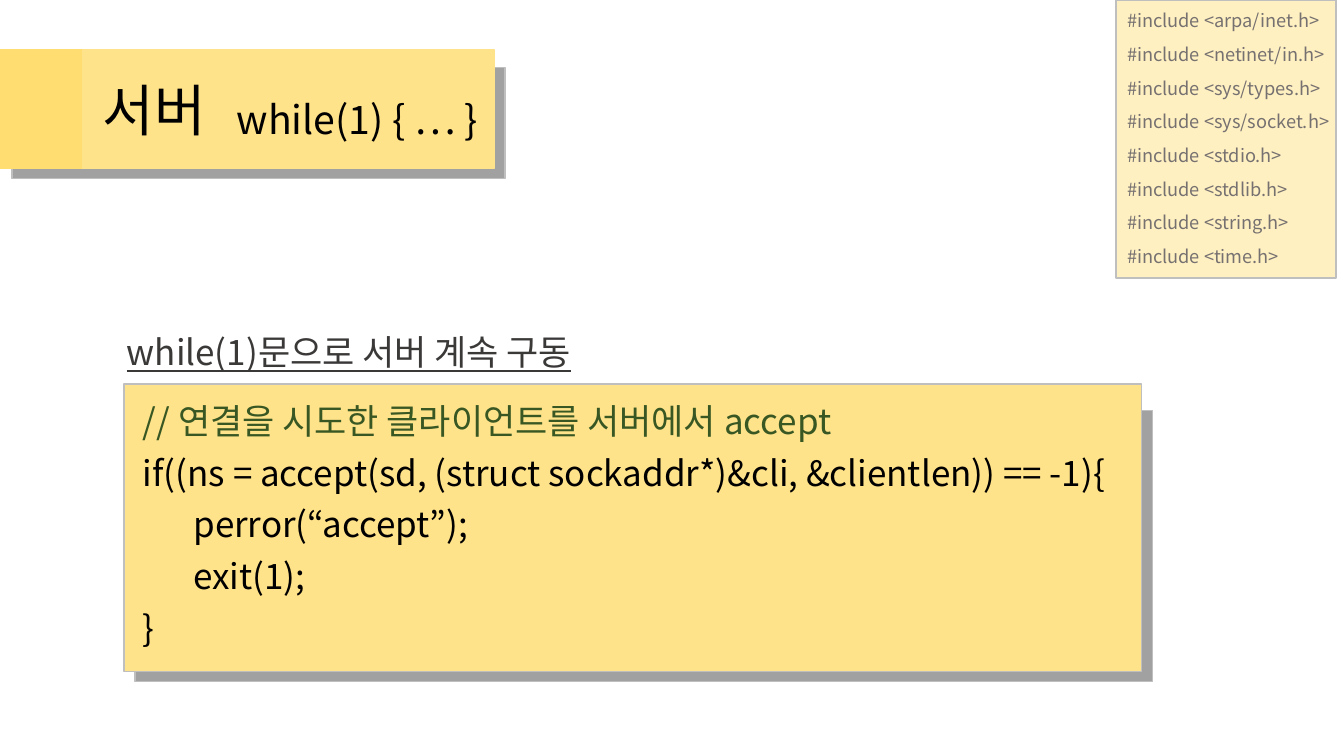
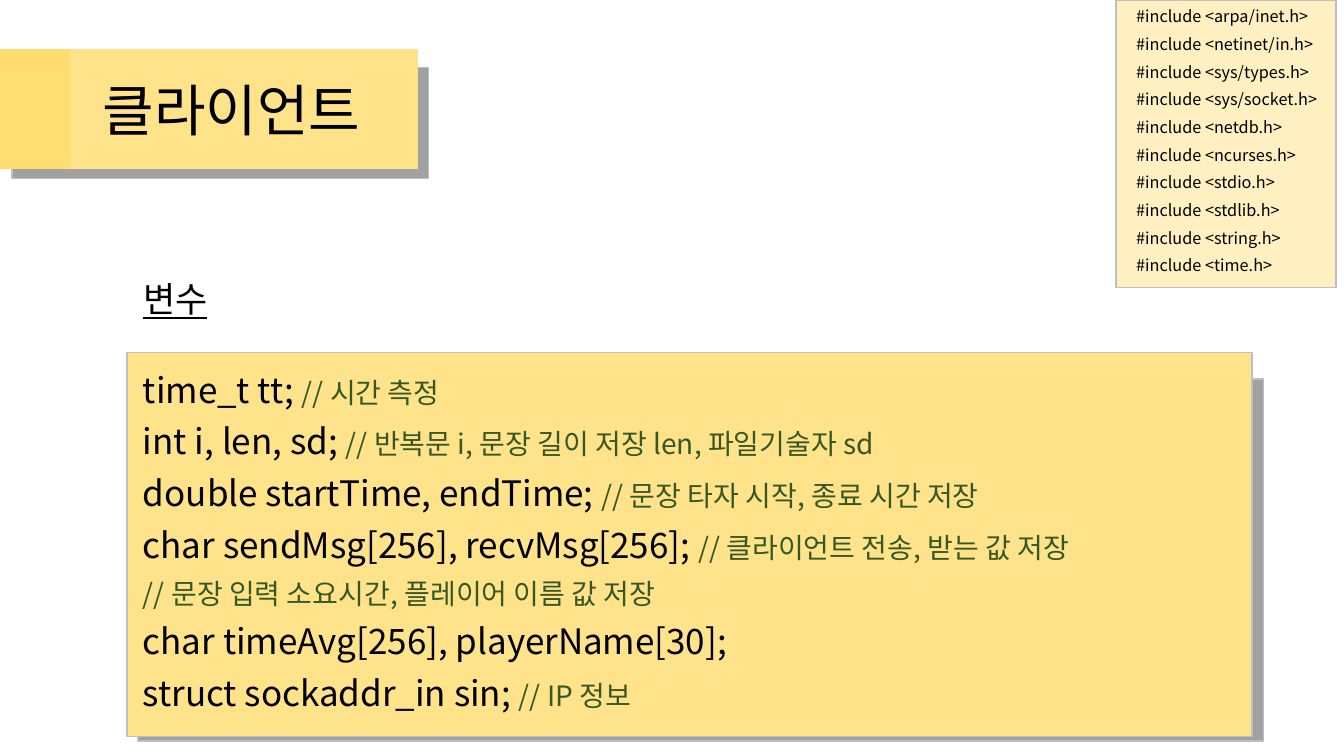
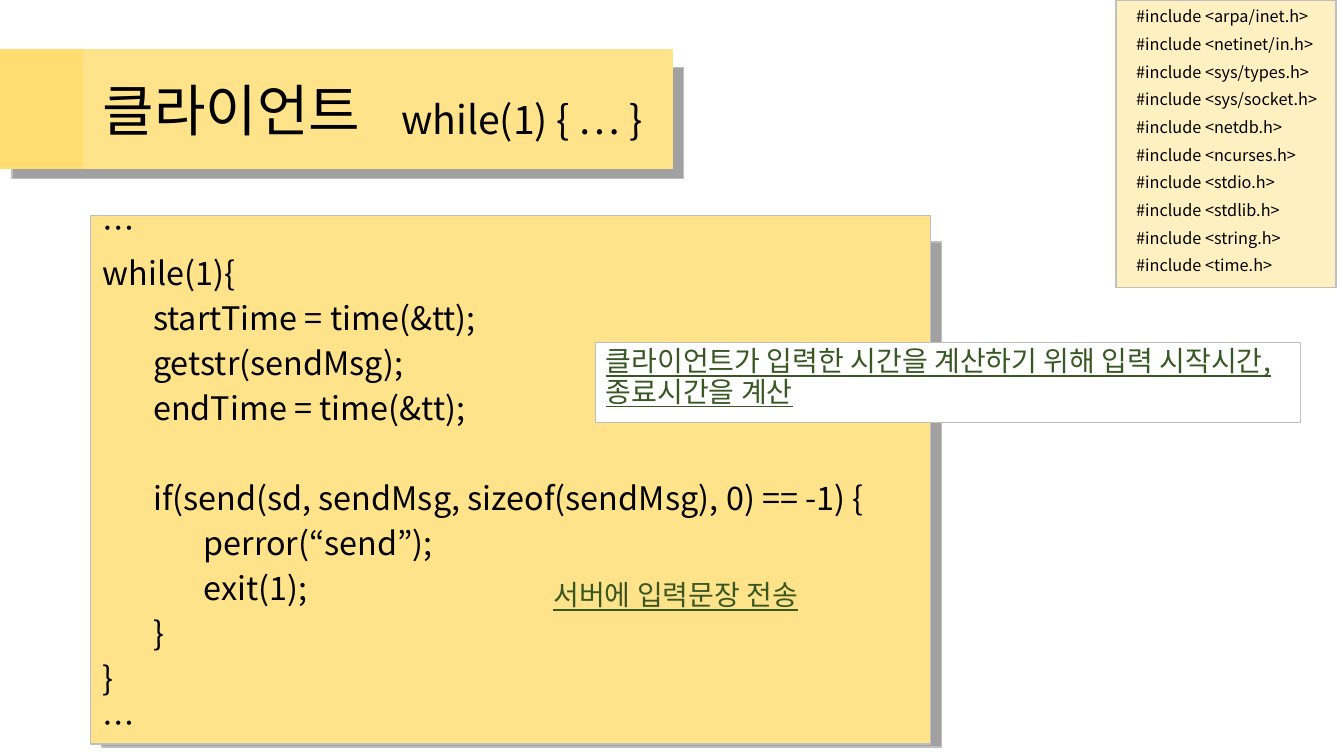
"""Build three slides on a socket server and its client."""
from pptx import Presentation
from pptx.dml.color import RGBColor
from pptx.enum.shapes import MSO_SHAPE
from pptx.enum.text import MSO_ANCHOR, MSO_AUTO_SIZE, PP_ALIGN
from pptx.oxml.ns import qn
from pptx.util import Inches, Pt
from lxml.etree import SubElement

FACE = "Noto Sans CJK KR"
BLACK = RGBColor(0x00, 0x00, 0x00)
WHITE = RGBColor(0xFF, 0xFF, 0xFF)
DARK = RGBColor(0x3B, 0x38, 0x38)
GRAY = RGBColor(0x76, 0x71, 0x71)
SHADE = RGBColor(0xA1, 0xA1, 0xA1)
EDGE = RGBColor(0xBF, 0xBF, 0xBF)
GREEN = RGBColor(0x38, 0x57, 0x23)
YELLOW = RGBColor(0xFF, 0xE3, 0x8B)
GOLD = RGBColor(0xFF, 0xDD, 0x71)
CREAM = RGBColor(0xFF, 0xF0, 0xC1)

CELL = Inches(0.1)
GAP = 10
PITCH = 1.2

HEAD = {"size": 40, "color": BLACK}
SUB = {"size": 28, "color": BLACK}
CODE = {"size": 25, "color": BLACK}
TIGHT = {"size": 23.1, "color": BLACK}
REMARK = {"size": 25, "color": GREEN}
NOTE = {"size": 20, "color": GREEN}
LINK = {"size": 20, "color": GREEN, "underline": True}
TOPIC = {"size": 25, "color": BLACK, "underline": True}
LEAD = {"size": 25, "color": DARK, "underline": True}
PALE = {"size": 13, "color": GRAY}
SMALL = {"size": 11.6, "color": BLACK}

NET = ["arpa/inet", "netinet/in", "sys/types", "sys/socket"]
TERM = ["netdb", "ncurses"]
BASE = ["stdio", "stdlib", "string", "time"]
LOOP = "while(1) { … }"

ACCEPT = [
    "// 연결을 시도한 클라이언트를 서버에서 accept",
    "if((ns = accept(sd, (struct sockaddr*)&cli, &clientlen)) == -1){",
    "\tperror(“accept”);",
    "\texit(1);",
    "}",
]
VARS = [
    "time_t tt; // 시간 측정",
    "int i, len, sd; // 반복문 i, 문장 길이 저장 len, 파일기술자 sd",
    "double startTime, endTime; // 문장 타자 시작, 종료 시간 저장",
    "char sendMsg[256], recvMsg[256]; // 클라이언트 전송, 받는 값 저장",
    "// 문장 입력 소요시간, 플레이어 이름 값 저장",
    "char timeAvg[256], playerName[30];",
    "struct sockaddr_in sin; // IP 정보",
]
SEND = [
    "…",
    "while(1){",
    "\tstartTime = time(&tt);",
    "\tgetstr(sendMsg);",
    "\tendTime = time(&tt);",
    "",
    "\tif(send(sd, sendMsg, sizeof(sendMsg), 0) == -1) {",
    "\t\tperror(“send”);",
    "\t\texit(1);",
    "\t}",
    "}",
    "…",
]


def grid(*cells):
    """Turn counts of grid cells into lengths."""
    return [round(n * CELL) for n in cells]


def style(run, form):
    """Format a run from a dict, for Latin and Korean letters alike."""
    font = run.font
    for key, val in form.items():
        if key == "color":
            font.color.rgb = val
        else:
            setattr(font, key, Pt(val) if key == "size" else val)
    font.name = FACE
    SubElement(run._r.get_or_add_rPr(), qn("a:ea"), typeface=FACE)


def write(frame, lines, form, note=NOTE, lead=0.9):
    """Fill a frame with lines; code and its comments differ in format."""
    frame.word_wrap = True
    frame.auto_size = MSO_AUTO_SIZE.NONE
    space = 0
    para = frame.paragraphs[0]
    for num, line in enumerate(lines):
        if not line:
            space += form["size"] * PITCH * lead + GAP
            continue
        if num:
            para = frame.add_paragraph()
        para.alignment = PP_ALIGN.LEFT
        para.line_spacing = lead
        para.space_before = Pt(space)
        space = GAP
        code, mark, rest = line.partition("//")
        for part, look in ((code, form), (mark + rest, note)):
            if part:
                run = para.add_run()
                run.text = part
                style(run, look)


def text(slide, box, lines, form, **opts):
    """Add a text box."""
    write(slide.shapes.add_textbox(*grid(*box)).text_frame, lines, form, **opts)


def rect(slide, box, fill, edge=EDGE, width=1):
    """Add a flat rectangle."""
    shape = slide.shapes.add_shape(MSO_SHAPE.RECTANGLE, *grid(*box))
    shape.shadow.inherit = False
    shape.fill.solid()
    shape.fill.fore_color.rgb = fill
    shape.line.color.rgb = edge
    shape.line.width = Pt(width)
    return shape


def panel(slide, box, down=2.6, drop=1, edge=EDGE):
    """Add a yellow panel over its gray backing."""
    left, top, wide, high = box
    rect(slide, (left + 1.1, top + down, wide, high - down + drop), SHADE)
    rect(slide, box, YELLOW, edge)


def banner(slide, title, wide, tab):
    """Add the title on its banner."""
    panel(slide, (0.1, 4.9, wide, 11.8), down=1.8, edge=YELLOW)
    rect(slide, (0, 4.9, tab, 11.8), GOLD, GOLD)
    head = slide.shapes.title
    head.left, head.top, head.width, head.height = grid(9.2, 4, 115, 14.5)
    slide.shapes._spTree.append(head._element)
    write(head.text_frame, [title], HEAD)
    head.text_frame.vertical_anchor = MSO_ANCHOR.MIDDLE


def heads(slide, names, form, left=111.7, high=28.5, lead=0.7):
    """Add the list of header files in the top right corner."""
    rect(slide, (110.7, 0, 21.8, high), CREAM)
    lines = [f"#include <{name}.h>" for name in names]
    text(slide, (left, 0.7, 133.3 - left, 27.7), lines, form, lead=lead)


def server(slide):
    """Build the slide on the server loop."""
    heads(slide, NET + BASE, PALE, left=110.8, high=27.6, lead=0.9)
    banner(slide, "서버", 48.9, 8.1)
    text(slide, (22.5, 9.5, 39.8, 6.7), [LOOP], SUB)
    text(slide, (11.6, 32.8, 108.4, 6.7), ["while(1)문으로 서버 계속 구동"], LEAD)
    panel(slide, (12.3, 38.1, 100.9, 28.5))
    text(slide, (13.2, 39.6, 108.4, 25.3), ACCEPT, CODE, note=REMARK)


def client(slide):
    """Build the slide on the client's variables."""
    heads(slide, NET + TERM + BASE, SMALL)
    banner(slide, "클라이언트", 41.3, 6.9)
    text(slide, (13.2, 27.5, 120.1, 6), ["변수"], TOPIC)
    panel(slide, (12.6, 35, 111.6, 38.1), drop=0.4)
    text(slide, (13.2, 36.5, 108.4, 36.6), VARS, CODE)


def loop(slide):
    """Build the slide on the client loop."""
    heads(slide, NET + TERM + BASE, SMALL)
    banner(slide, "클라이언트", 66.6, 8.2)
    text(slide, (38.8, 9.5, 55.2, 6.7), [LOOP], SUB)
    panel(slide, (9, 21.4, 83.3, 52.4), drop=0.3)
    text(slide, (9.2, 20.9, 84.2, 54.1), SEND, TIGHT, lead=0.8)
    call = rect(slide, (59.1, 34, 69.9, 7.9), WHITE, width=0.75)
    call.text_frame.vertical_anchor = MSO_ANCHOR.TOP
    hint = "클라이언트가 입력한 시간을 계산하기 위해 입력 시작시간, 종료시간을 계산"
    write(call.text_frame, [hint], LINK)
    text(slide, (53.9, 57.2, 36.5, 6.7), ["서버에 입력문장 전송"], LINK)


def main():
    """Build and save the deck."""
    deck = Presentation()
    deck.slide_width, deck.slide_height = Inches(13.33), Inches(7.5)
    plain = deck.slide_layouts.get_by_name("Title Only")
    for build in (server, client, loop):
        build(deck.slides.add_slide(plain))
    deck.save("out.pptx")


if __name__ == "__main__":
    main()
